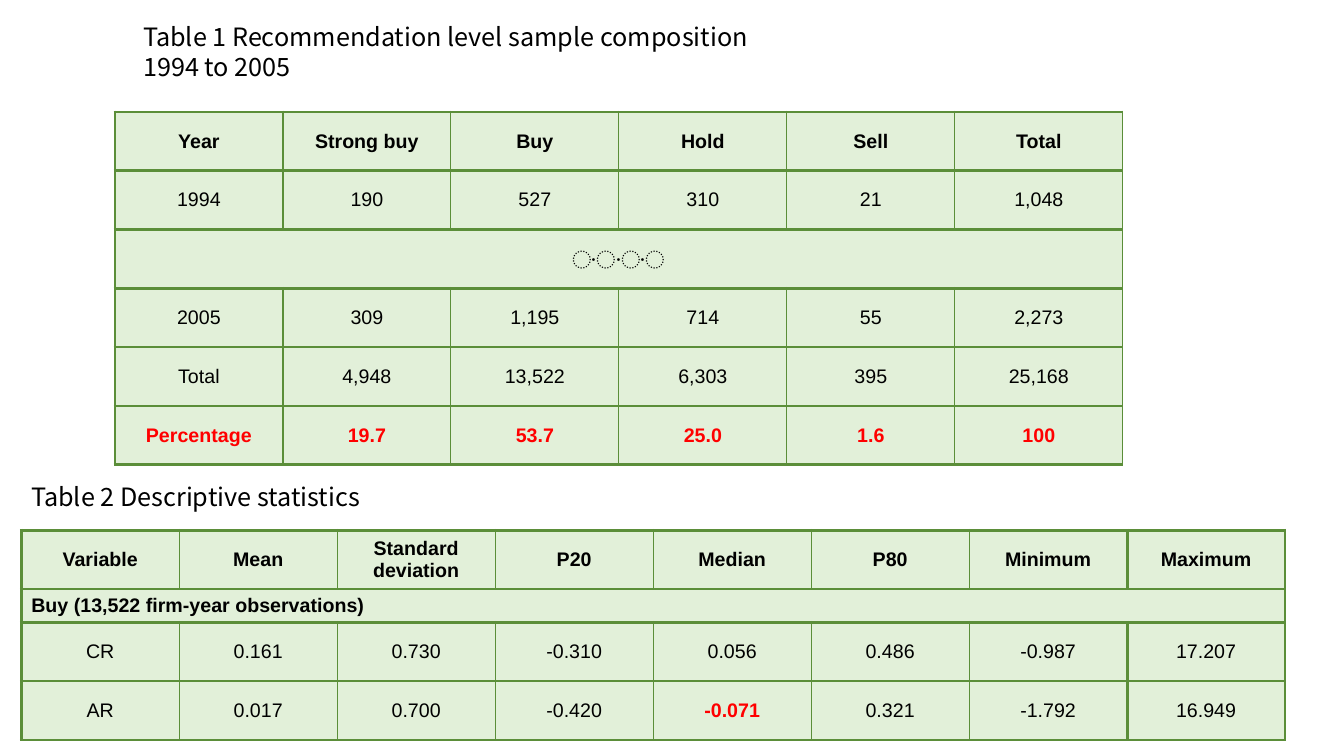
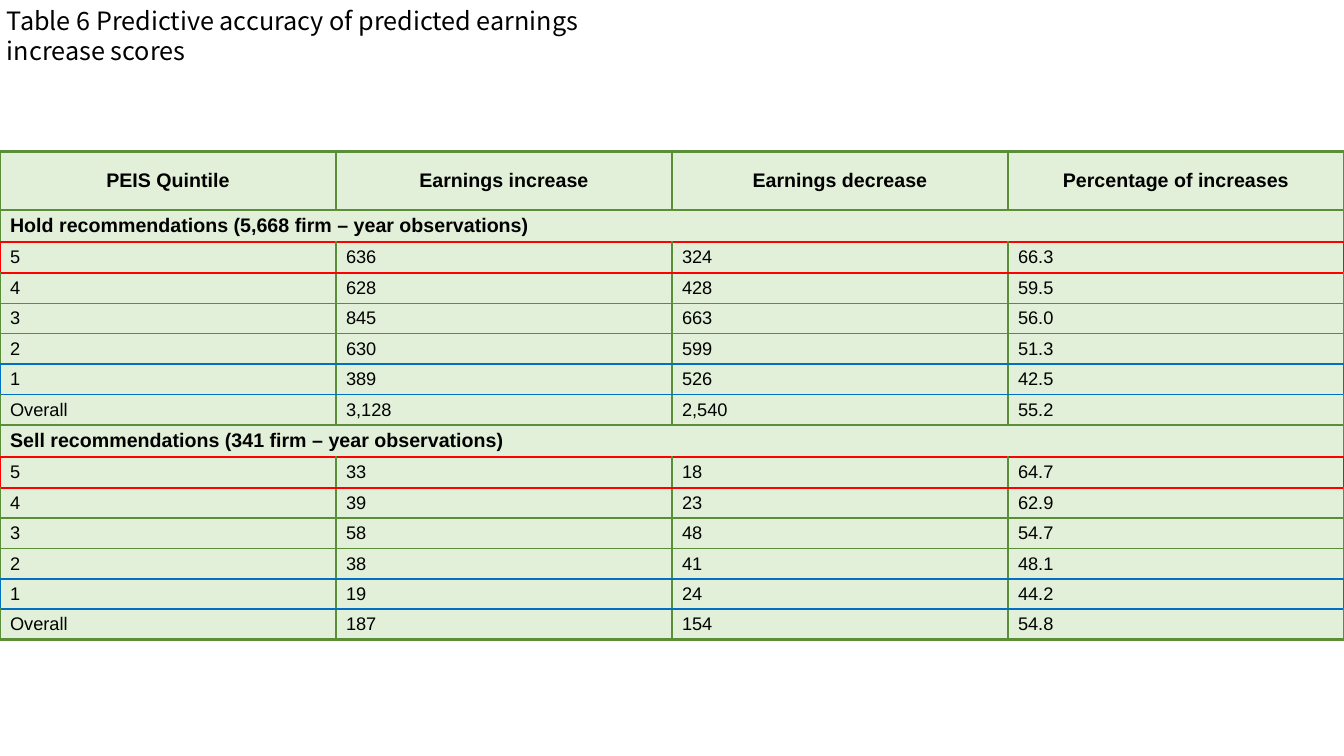
"""Build two slides of tables on analyst recommendations."""
from lxml import etree
from pptx import Presentation
from pptx import util as u
from pptx.dml.color import RGBColor
from pptx.enum import text
from pptx.oxml import ns

BLACK = RGBColor(0x00, 0x00, 0x00)
RED = RGBColor(0xFF, 0x00, 0x00)
BLUE = RGBColor(0x00, 0x70, 0xC0)
GREEN = RGBColor(0x5B, 0x8E, 0x39)
PALE = RGBColor(0xE2, 0xF0, 0xD9)

THICK, THIN = (GREEN, 2.25), (GREEN, 1)
HOT, COOL = (RED, 1.5), (BLUE, 1.5)

SANS, CJK = "Arial", "Noto Sans CJK KR"
LEFT, MID = text.PP_ALIGN.LEFT, text.PP_ALIGN.CENTER
TALL = 7.78


class Deck:
    """Hold the style and the current slide; lengths are percent of the slide."""

    def __init__(self):
        self.show = Presentation()
        self.show.slide_width = u.Inches(13.33)
        self.show.slide_height = u.Inches(7.5)

    def wide(self, share):
        return round(self.show.slide_width * share / 100)

    def high(self, share):
        return round(self.show.slide_height * share / 100)

    def box(self, left, top, width, height):
        return self.wide(left), self.high(top), self.wide(width), self.high(height)

    def page(self, title, *area):
        self.slide = self.show.slides.add_slide(self.show.slide_layouts[5])
        head = self.slide.shapes.title
        head.left, head.top, head.width, head.height = self.box(*area)
        self.label(head.text_frame, title)

    def note(self, words, *area):
        self.label(self.slide.shapes.add_textbox(*self.box(*area)).text_frame, words)

    def label(self, frame, words):
        frame.text = words
        frame.word_wrap = True
        frame.auto_size = text.MSO_AUTO_SIZE.NONE
        frame.vertical_anchor = text.MSO_ANCHOR.TOP
        self.ink(frame, 18, font=CJK)

    def ink(self, frame, size=14, color=BLACK, bold=False, font=SANS, align=LEFT):
        for par in frame.paragraphs:
            par.alignment = align
            for run in par.runs:
                face = run.font
                face.size, face.bold, face.name = u.Pt(size), bold, font
                face.color.rgb = color
                props = run._r.get_or_add_rPr()
                for old in props.findall(ns.qn("a:ea")):
                    props.remove(old)
                etree.SubElement(props, ns.qn("a:ea"), typeface=font)

    def edge(self, cell, **pens):
        props = cell._tc.get_or_add_tcPr()
        for side, (color, size) in pens.items():
            line = etree.SubElement(props, ns.qn(f"a:ln{side}"), w=str(u.Pt(size)))
            fill = etree.SubElement(line, ns.qn("a:solidFill"))
            etree.SubElement(fill, ns.qn("a:srgbClr"), val=str(color))

    def table(self, data, area, tall, rules, thick, size=14, align=MID):
        rows = [line.split("|") for line in data]
        count = len(rows[0])
        frame = self.slide.shapes.add_table(
            len(rows), count, *self.box(*area, sum(tall)))
        grid = frame.table
        for col in grid.columns:
            col.width = self.wide(area[2] / count)
        for y, words in enumerate(rows):
            grid.rows[y].height = self.high(tall[y])
            span = len(words) == 1
            if span:
                grid.cell(y, 0).merge(grid.cell(y, count - 1))
            top, low = rules[y:y + 2]
            pens = [THICK if x in thick else THIN for x in range(count + 1)]
            if top == low and top[0] != GREEN:
                pens[0] = pens[-1] = top
            for x in range(count):
                cell = grid.cell(y, x)
                self.edge(cell, L=pens[x], R=pens[-1 if span else x + 1], T=top, B=low)
                cell.fill.solid()
                cell.fill.fore_color.rgb = PALE
            for x, word in enumerate(words):
                cell = grid.cell(y, x)
                cell.text_frame.text = word
                cell.vertical_anchor = text.MSO_ANCHOR.MIDDLE
                head = y == 0
                self.ink(cell.text_frame, 14 if head or span else size,
                         bold=head or span,
                         align=MID if head else LEFT if span else align)
        return grid


def sample(deck):
    """Draw the sample composition and its statistics."""
    deck.page("Table 1 Recommendation level sample composition 1994 to 2005",
              9.9, 2.13, 50, 9.47)
    mix = deck.table([
        "Year|Strong buy|Buy|Hold|Sell|Total",
        "1994|190|527|310|21|1,048",
        "〮〮〮",
        "2005|309|1,195|714|55|2,273",
        "Total|4,948|13,522|6,303|395|25,168",
        "Percentage|19.7|53.7|25.0|1.6|100",
    ], (8.55, 14.8, 75), [TALL] * 6, [THICK] * 7, {0})
    deck.ink(mix.cell(2, 0).text_frame, font=CJK, align=MID)
    for cell in mix.rows[5].cells:
        deck.ink(cell.text_frame, color=RED, bold=True, align=MID)

    deck.note("Table 2 Descriptive statistics", 1.58, 63.07, 50.2, 5.33)
    stats = deck.table([
        "Variable|Mean|Standard deviation|P20|Median|P80|Minimum|Maximum",
        "Buy (13,522 firm-year observations)",
        "CR|0.161|0.730|-0.310|0.056|0.486|-0.987|17.207",
        "AR|0.017|0.700|-0.420|-0.071|0.321|-1.792|16.949",
    ], (1.58, 70.13, 94.05), [TALL, 4.4, TALL, TALL], [THICK] * 5, {0, 7, 8})
    deck.ink(stats.cell(3, 4).text_frame, color=RED, bold=True, align=MID)


def scores(deck):
    """Draw the accuracy of the scores by quintile."""
    deck.page("Table 6 Predictive accuracy of predicted earnings increase scores",
              -0.23, 0, 50.2, 9.47)
    block = [THICK, HOT, HOT, THIN, THIN, COOL, COOL]
    deck.table([
        "PEIS Quintile|Earnings increase|Earnings decrease|Percentage of increases",
        "Hold recommendations (5,668 firm – year observations)",
        "5|636|324|66.3",
        "4|628|428|59.5",
        "3|845|663|56.0",
        "2|630|599|51.3",
        "1|389|526|42.5",
        "Overall|3,128|2,540|55.2",
        "Sell recommendations (341 firm – year observations)",
        "5|33|18|64.7",
        "4|39|23|62.9",
        "3|58|48|54.7",
        "2|38|41|48.1",
        "1|19|24|44.2",
        "Overall|187|154|54.8",
    ], (0, 20, 100), [TALL] + ([4.27] + [4.03] * 6) * 2,
        [THICK] + block * 2 + [THICK], {0, 4}, 13, LEFT)


def main():
    """Build and save the deck."""
    deck = Deck()
    sample(deck)
    scores(deck)
    deck.show.save("out.pptx")


if __name__ == "__main__":
    main()
